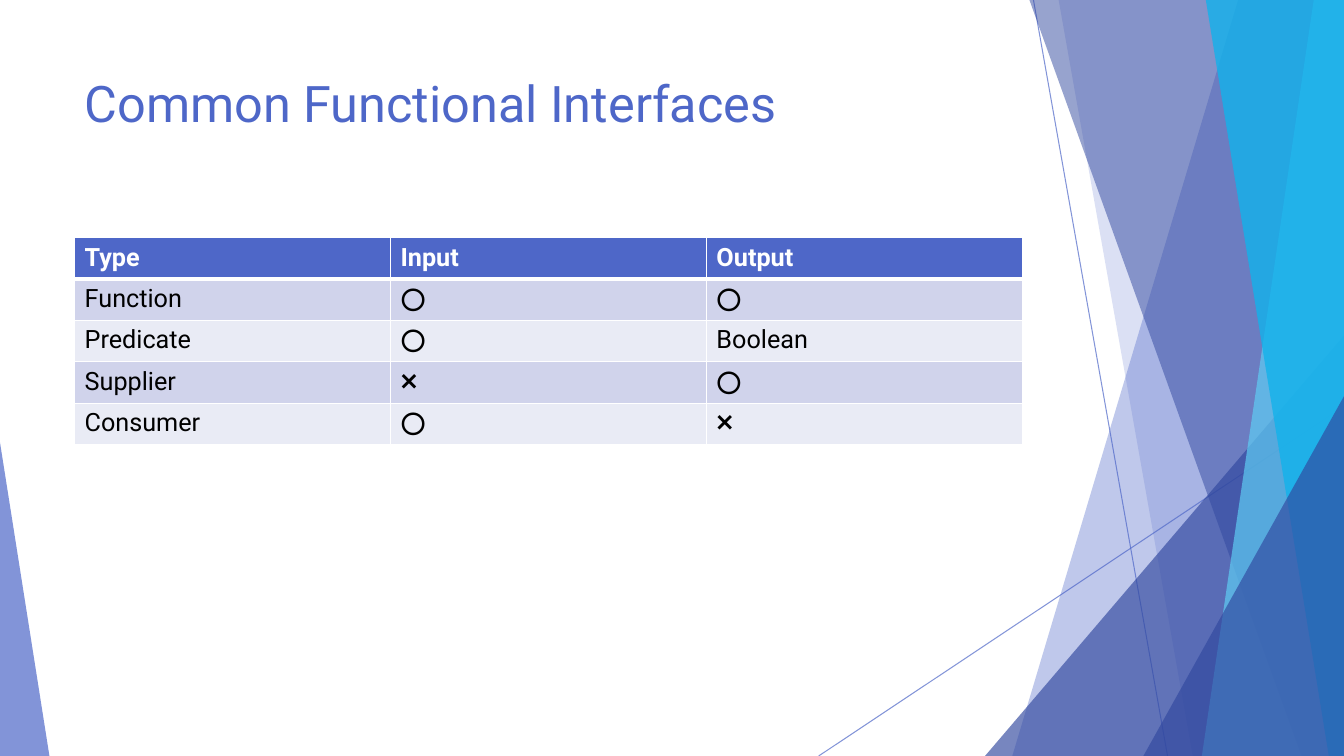
"""Build the Common Functional Interfaces slide with its faceted background and table."""
import pptx
import pptx.dml.color
import pptx.enum.shapes
import pptx.enum.text
import pptx.oxml
import pptx.oxml.ns
import pptx.oxml.xmlchemy
import pptx.util
from pptx.util import Inches

THEME = {
    "font": "Roboto",
    "title_size": 36,
    "table_size": 18,
    "blue": "4E67C8",
    "navy": "31489F",
    "sky": "5ECCF3",
    "cyan": "12B2EB",
    "white": "FFFFFF",
    "black": "000000",
    "bands": ["D0D3EB", "E9EBF5"],
}
WIDTH, HEIGHT = 13.33, 7.5
LEFT, CONTENT_WIDTH = 0.74, 9.4
ROW_HEIGHT = 0.41


def paint(fill, color, opacity=100):
    """Apply a solid colour with the given opacity in percent."""
    fill.solid()
    fill.fore_color.rgb = pptx.dml.color.RGBColor.from_string(THEME.get(color, color))
    if opacity < 100:
        color_node = fill._xPr.find(".//" + pptx.oxml.ns.qn("a:srgbClr"))
        alpha = pptx.oxml.xmlchemy.OxmlElement("a:alpha")
        alpha.set("val", str(opacity * 1000))
        color_node.append(alpha)


def style_text(para, size, color, bold=False):
    """Format every run of a paragraph."""
    for span in para.runs:
        span.font.name = THEME["font"]
        span.font.size = pptx.util.Pt(size)
        span.font.bold = bold
        paint(span.font.fill, color)


deck = pptx.Presentation()
deck.slide_width, deck.slide_height = Inches(WIDTH), Inches(HEIGHT)
page = deck.slides.add_slide(deck.slide_layouts[5])
paint(page.background.fill, "white")

for start_x, start_y, end_x, end_y in [(10.25, 0, 11.58, HEIGHT), (WIDTH, 4.03, 8.12, HEIGHT)]:
    ray = page.shapes.add_connector(
        pptx.enum.shapes.MSO_CONNECTOR.STRAIGHT,
        Inches(start_x), Inches(start_y), Inches(end_x), Inches(end_y))
    ray.line.width = pptx.util.Pt(0.75)
    paint(ray.line.fill, "blue", 70)
    ray._element.spPr.append(pptx.oxml.xmlchemy.OxmlElement("a:effectLst"))

facets = [
    ("band", 12.28, 10.04, "blue", 36),
    ("band", 10.5, 11.83, "blue", 20),
    ("triangle", 9.77, 3.33, 3.56, 1, "navy", 66),
    ("band", 10.21, 12.91, "navy", 50),
    ("band", 13.03, 11.92, "sky", 70),
    ("band", 11.96, 13.18, "cyan", 80),
    ("triangle", 11.34, 3.93, 1.99, 1, "navy", 66),
    ("triangle", 0, 4.39, 0.49, 0, "blue", 70),
]
for kind, *geometry, color, opacity in facets:
    if kind == "band":
        top_x, bottom_x = geometry
        outline = page.shapes.build_freeform(Inches(top_x), 0)
        corners = [(WIDTH, 0), (WIDTH, HEIGHT), (bottom_x, HEIGHT)]
        outline.add_line_segments([(Inches(x), Inches(y)) for x, y in corners])
        facet = outline.convert_to_shape()
    else:
        left, top, width, apex = geometry
        facet = page.shapes.add_shape(
            pptx.enum.shapes.MSO_SHAPE.ISOSCELES_TRIANGLE,
            Inches(left), Inches(top), Inches(width), Inches(HEIGHT - top))
        facet.adjustments[0] = apex
    facet.shadow.inherit = False
    facet.line.fill.background()
    paint(facet.fill, color, opacity)

title = page.shapes.title
title.left, title.top = Inches(LEFT), Inches(0.67)
title.width, title.height = Inches(CONTENT_WIDTH), Inches(1.44)
title.text_frame.text = "Common Functional Interfaces"
title.text_frame.vertical_anchor = pptx.enum.text.MSO_ANCHOR.TOP
title.text_frame.paragraphs[0].alignment = pptx.enum.text.PP_ALIGN.LEFT
style_text(title.text_frame.paragraphs[0], THEME["title_size"], "blue")

YES, NO = "\u2b55\ufe0f", "\u274c"
interfaces = [
    ("Type", "Input", "Output"),
    ("Function", YES, YES),
    ("Predicate", YES, "Boolean"),
    ("Supplier", NO, YES),
    ("Consumer", YES, NO),
]
table = page.shapes.add_table(
    len(interfaces), 3, Inches(LEFT), Inches(2.36),
    Inches(CONTENT_WIDTH), Inches(ROW_HEIGHT * len(interfaces))).table
for row_index, values in enumerate(interfaces):
    header = row_index == 0
    for column_index, value in enumerate(values):
        cell = table.cell(row_index, column_index)
        cell.text_frame.text = value
        style_text(cell.text_frame.paragraphs[0], THEME["table_size"],
                   "white" if header else "black", header)
        paint(cell.fill, "blue" if header else THEME["bands"][(row_index - 1) % 2])
        for position, side in enumerate("LRTB"):
            thick = (header and side == "B") or (row_index == 1 and side == "T")
            border = pptx.oxml.parse_xml(
                f'<a:ln{side} {pptx.oxml.ns.nsdecls("a")} w="{pptx.util.Pt(3 if thick else 1)}">'
                f'<a:solidFill><a:srgbClr val="{THEME["white"]}"/></a:solidFill></a:ln{side}>')
            cell._tc.tcPr.insert(position, border)

deck.save("out.pptx")
